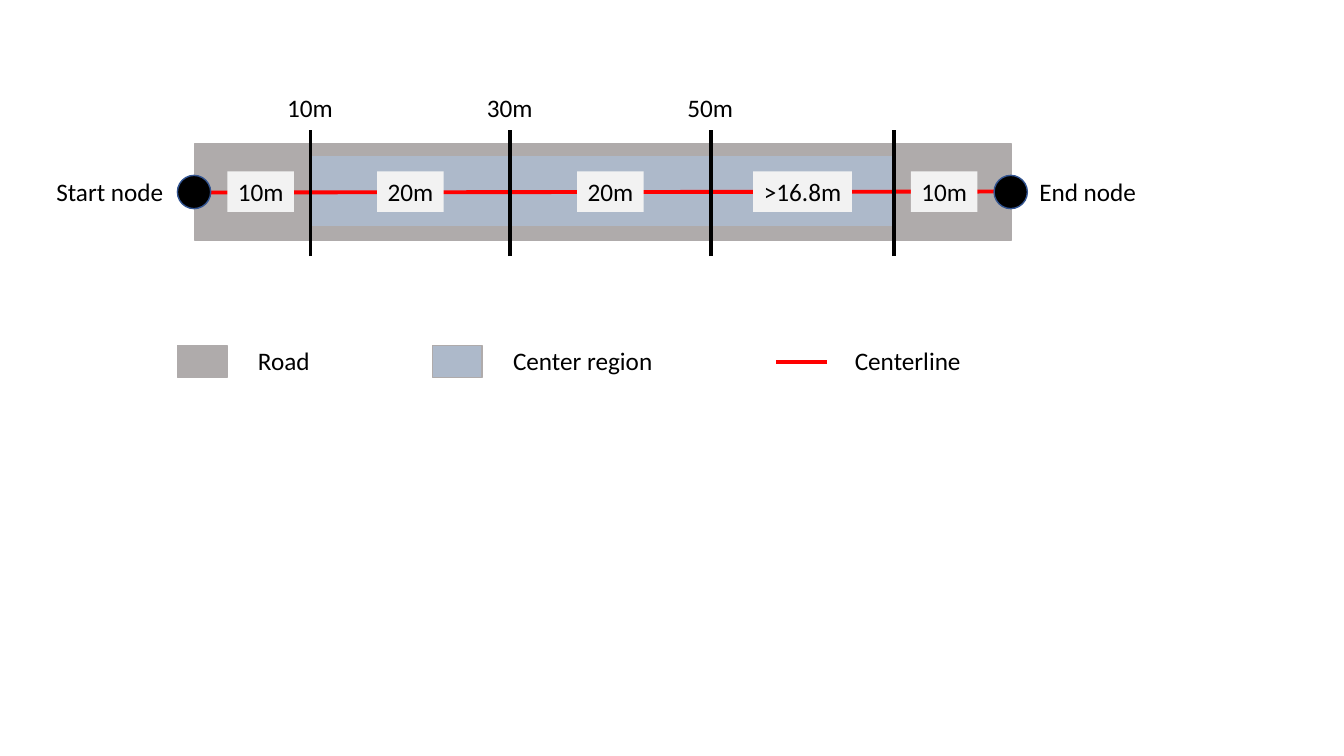
from itertools import pairwise

from lxml import etree
from pptx import Presentation
from pptx.dml.color import RGBColor
from pptx.enum.shapes import MSO_CONNECTOR, MSO_SHAPE
from pptx.enum.text import MSO_ANCHOR, MSO_AUTO_SIZE
from pptx.oxml.ns import qn
from pptx.util import Inches, Pt

RECTANGLE, OVAL = MSO_SHAPE.RECTANGLE, MSO_SHAPE.OVAL
STRAIGHT = MSO_CONNECTOR.STRAIGHT
TOP, FIT_TEXT = MSO_ANCHOR.TOP, MSO_AUTO_SIZE.SHAPE_TO_FIT_TEXT

BLACK = RGBColor(0x00, 0x00, 0x00)
RED = RGBColor(0xFF, 0x00, 0x00)
ROAD_GRAY = RGBColor(0xAF, 0xAB, 0xAB)
REGION_BLUE = RGBColor(0xAD, 0xB9, 0xCA)
NODE_EDGE = RGBColor(0x32, 0x54, 0x91)
TAG_GRAY = RGBColor(0xF2, 0xF2, 0xF2)

CELL = Inches(0.1)
LABEL_HEIGHT = 4.04
NODE_SIZE = 3.3
NODE_LEFTS = (17.6, 98.6)
DIVIDERS = (30.8, 50.6, 70.5, 88.7)


class RoadSlide:
    """Draws road diagram elements on a slide divided into square grid cells."""

    text_format = {"name": "Calibri", "size": Pt(18)}
    frame_format = {"word_wrap": False, "auto_size": FIT_TEXT, "vertical_anchor": TOP}

    def __init__(self, deck):
        self.slide = deck.slides.add_slide(deck.slide_layouts[6])

    def place(self, *lengths):
        return [round(length * CELL) for length in lengths]

    def shape(self, kind, left, top, width, height, fill, edge=None):
        shape = self.slide.shapes.add_shape(kind, *self.place(left, top, width, height))
        shape.shadow.inherit = False
        shape.fill.solid()
        shape.fill.fore_color.rgb = fill
        if edge is None:
            shape.line.fill.background()
        else:
            shape.line.color.rgb = edge
            shape.line.width = Pt(1)
        return shape

    def line(self, start, end, color):
        line = self.slide.shapes.add_connector(STRAIGHT, *self.place(*start, *end))
        line.line.color.rgb = color
        line.line.width = Pt(2.75)
        etree.SubElement(line._element.spPr, qn("a:effectLst"))

    def fill_text(self, box, text):
        for name, value in self.frame_format.items():
            setattr(box.text_frame, name, value)
        para = box.text_frame.paragraphs[0]
        span = para.add_run()
        span.text = text
        span.font.color.rgb = BLACK
        for name, value in self.text_format.items():
            setattr(span.font, name, value)

    def label(self, text, left, top, width):
        box = self.slide.shapes.add_textbox(*self.place(left, top, width, LABEL_HEIGHT))
        self.fill_text(box, text)

    def tag(self, text, center, top, width):
        left = center - width / 2
        box = self.shape(RECTANGLE, left, top, width, LABEL_HEIGHT, TAG_GRAY)
        self.fill_text(box, text)


def main():
    deck = Presentation()
    deck.slide_width, deck.slide_height = Inches(13.33), Inches(7.5)
    page = RoadSlide(deck)

    page.shape(RECTANGLE, 19.3, 14.3, 81, 9.5, ROAD_GRAY, ROAD_GRAY)
    page.shape(RECTANGLE, DIVIDERS[0], 15.4, 58, 7.1, REGION_BLUE, ROAD_GRAY)
    page.line((17.6, 19.1), (101.8, 19), RED)
    for left in NODE_LEFTS:
        page.shape(OVAL, left, 17.4, NODE_SIZE, NODE_SIZE, BLACK, NODE_EDGE)
    for column in DIVIDERS:
        page.line((column, 25.4), (column, 12.9), BLACK)

    page.label("Start node", 4.6, 17, 12.8)
    page.label("End node", 102.1, 17, 11.7)
    for text, column in zip(("10m", "30m", "50m"), DIVIDERS):
        page.label(text, column - 3.3, 8.7, 6.6)

    stops = (NODE_LEFTS[0] + NODE_SIZE, *DIVIDERS, NODE_LEFTS[1])
    lengths = ("10m", "20m", "20m", ">16.8m", "10m")
    for text, (start, end) in zip(lengths, pairwise(stops)):
        page.tag(text, (start + end) / 2, 17, 9.8 if text == ">16.8m" else 6.6)

    for text, left, width, fill in (
        ("Road", 17.6, 7.2, ROAD_GRAY),
        ("Center region", 42.9, 16, REGION_BLUE),
    ):
        page.shape(RECTANGLE, left, 34.25, 4.9, 3.2, fill, ROAD_GRAY)
        page.label(text, left + 7, 33.8, width)
    page.line((77, 35.9), (82, 35.9), RED)
    page.label("Centerline", 83.8, 33.8, 12.6)

    deck.save("out.pptx")


if __name__ == "__main__":
    main()
